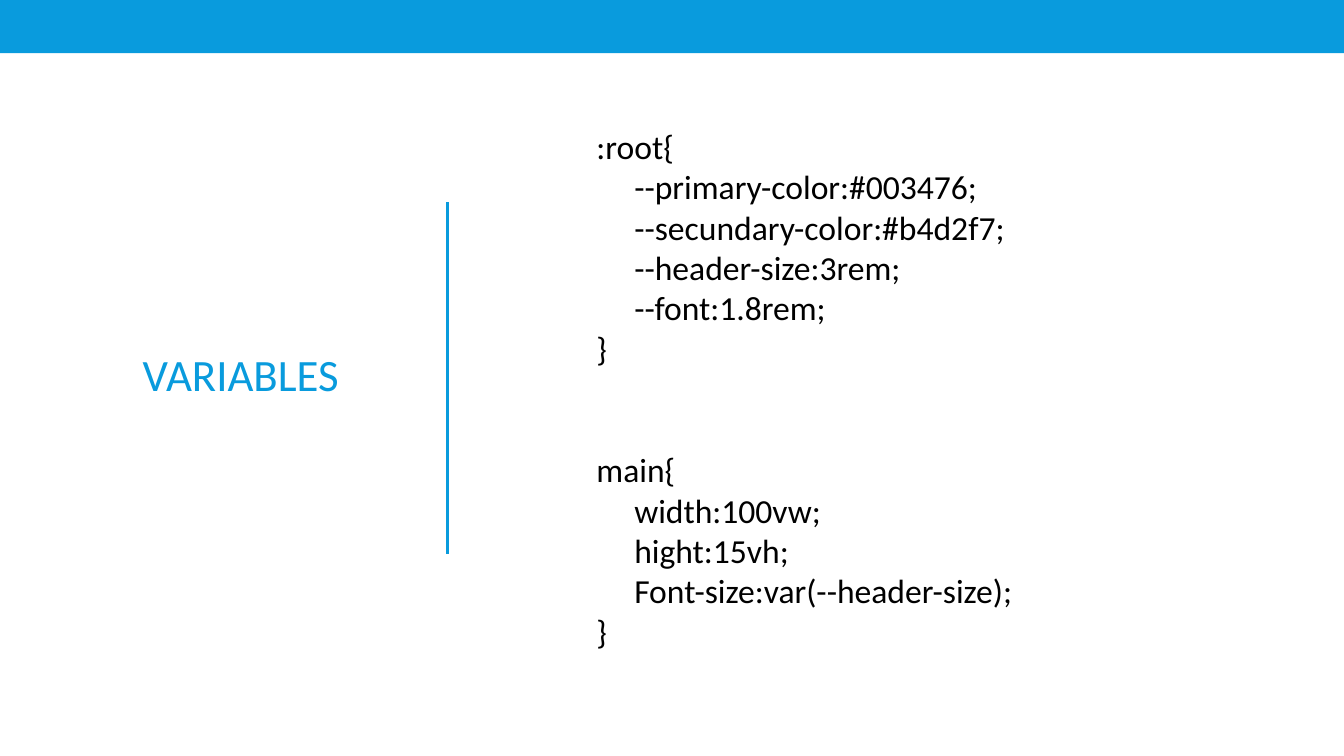
import pptx
import pptx.util
import pptx.dml.color
import pptx.enum.shapes
import pptx.enum.text
from dataclasses import dataclass
from lxml import etree

Pt = pptx.util.Pt
Rgb = pptx.dml.color.RGBColor
Shape = pptx.enum.shapes.MSO_SHAPE
Link = pptx.enum.shapes.MSO_CONNECTOR
Align = pptx.enum.text.PP_ALIGN
Anchor = pptx.enum.text.MSO_ANCHOR


@dataclass(frozen=True)
class Theme:
    blue: Rgb = Rgb(0x09, 0x9B, 0xDD)
    black: Rgb = Rgb(0, 0, 0)
    font: str = "Calibri"
    title: int = 32
    code: int = 24
    rule: int = 2
    indent: int = 27
    gap: int = 58


theme = Theme()

# Each rule set: selector and its declarations
RULES = [
    (":root", ["--primary-color:#003476;", "--secundary-color:#b4d2f7;",
               "--header-size:3rem;", "--font:1.8rem;"]),
    ("main", ["width:100vw;", "hight:15vh;", "Font-size:var(--header-size);"]),
]


def add_text(slide, box, lines, size, color, align=Align.LEFT,
             anchor=Anchor.TOP, leading=1.0):
    """Write lines given as (text, indent, space before)."""
    frame = slide.shapes.add_textbox(*map(Pt, box)).text_frame
    frame.word_wrap = True
    frame.vertical_anchor = anchor
    for n, (text, indent, before) in enumerate(lines):
        para = frame.add_paragraph() if n else frame.paragraphs[0]
        para.alignment = align
        para.line_spacing = leading
        para.space_before = Pt(before)
        if indent:
            para._p.get_or_add_pPr().set("marL", str(Pt(indent)))
        run = para.add_run()
        run.text = text
        run.font.name = theme.font
        run.font.size = Pt(size)
        run.font.color.rgb = color


def add_band(slide, box):
    band = slide.shapes.add_shape(Shape.RECTANGLE, *map(Pt, box))
    band.shadow.inherit = False
    band.fill.solid()
    band.fill.fore_color.rgb = theme.blue
    band.line.fill.background()


def add_title(slide, box, text):
    # Heading, centred in its box
    add_text(slide, box, [(text, 0, 0)], theme.title, theme.blue,
             align=Align.CENTER, anchor=Anchor.MIDDLE, leading=0.85)
    # Upright rule to the right of the heading
    left, top, width, height = box
    x, mid, half = left + width + 26, top + height / 2, 125.5
    rule = slide.shapes.add_connector(
        Link.STRAIGHT, Pt(x), Pt(mid - half), Pt(x), Pt(mid + half))
    rule.line.color.rgb = theme.blue
    rule.line.width = Pt(theme.rule)
    etree.SubElement(rule._element.spPr, pptx.oxml.ns.qn("a:effectLst"))


def add_code(slide, box, rules):
    lines = []
    for name, body in rules:
        lines.append((name + "{", 0, theme.gap if lines else 0))
        lines += [(item, theme.indent, 0) for item in body]
        lines.append(("}", 0, 0))
    add_text(slide, box, lines, theme.code, theme.black)


def main():
    deck = pptx.Presentation()
    deck.slide_width, deck.slide_height = Pt(960), Pt(540)
    slide = deck.slides.add_slide(deck.slide_layouts[6])
    add_band(slide, (0, 0, 960, 38))
    add_title(slide, (50.5, 104.5, 243, 331), "VARIABLES")
    add_code(slide, (419, 86.5, 379, 385), RULES)
    deck.save("out.pptx")


if __name__ == "__main__":
    main()
